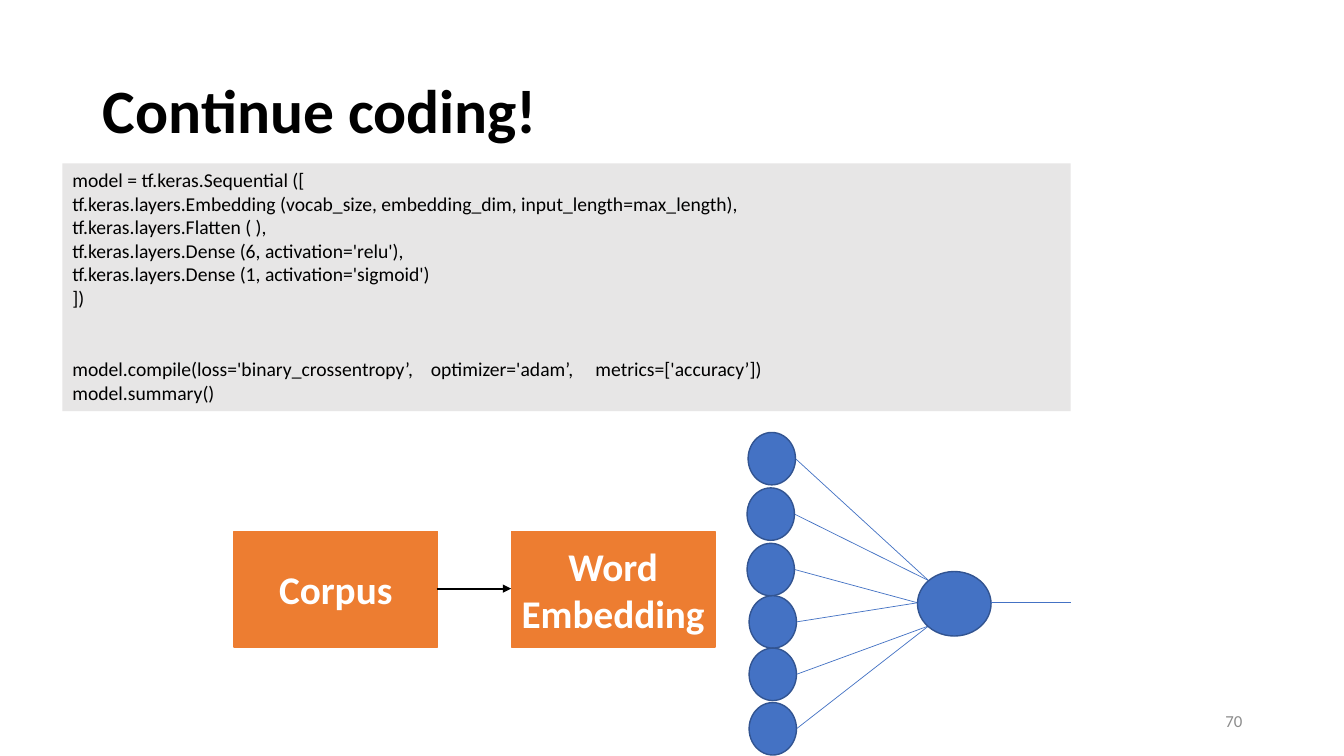
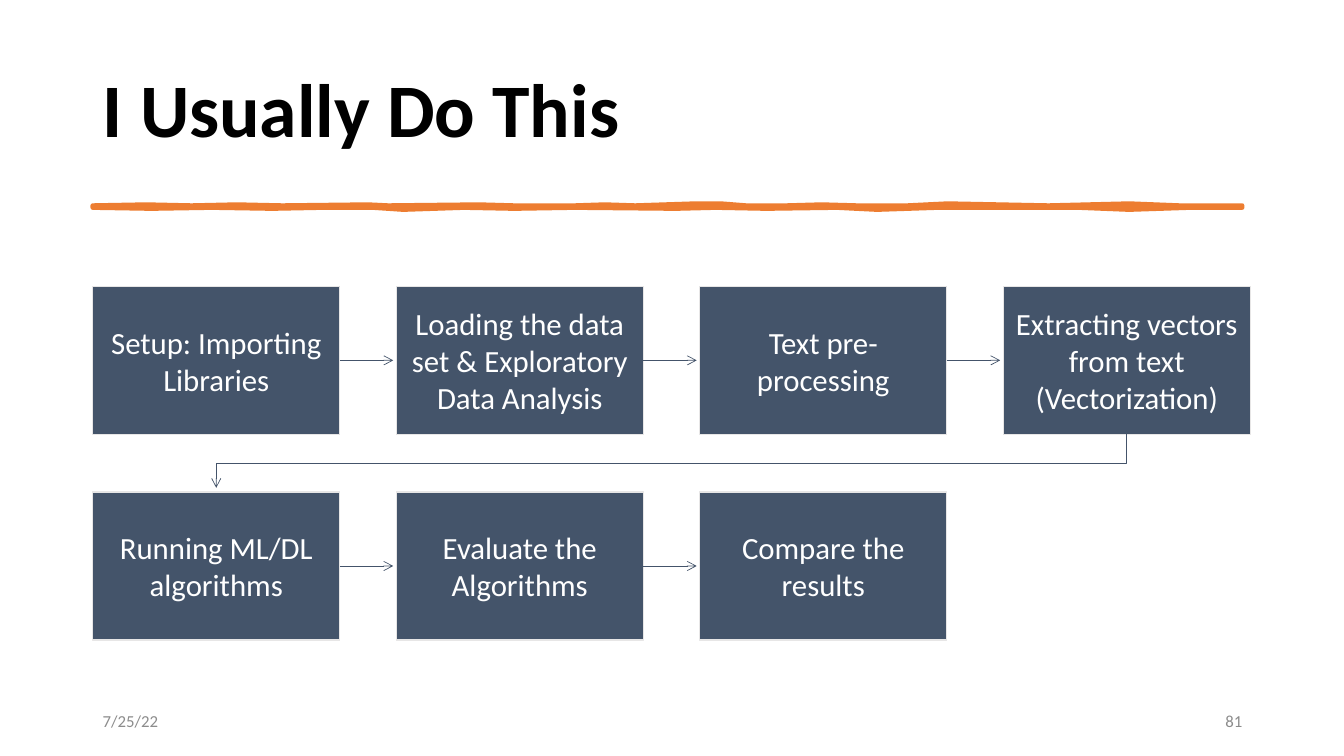
"""Build two slides: a small neural network in code, and a text workflow."""
from typing import NamedTuple

from pptx import Presentation
from pptx.dml.color import RGBColor
from pptx.enum import shapes as kinds, text as txt
from pptx.oxml import ns, xmlchemy as xml
from pptx.util import Inches, Pt

HUES = {
    "black": "000000", "white": "FFFFFF", "gray": "8C8C8C", "pale": "E7E6E6",
    "orange": "ED7D31", "blue": "4472C4", "navy": "325491", "slate": "44546A",
}
FONT = "Calibri"
RECT = kinds.MSO_SHAPE.RECTANGLE
OVAL = kinds.MSO_SHAPE.OVAL
LEFT, MID, RIGHT = txt.PP_ALIGN.LEFT, txt.PP_ALIGN.CENTER, txt.PP_ALIGN.RIGHT
MARGIN = 0.92


class Box(NamedTuple):
    left: float
    top: float
    width: float
    height: float

    def size(self) -> list:
        return [Inches(v) for v in self]


class Type(NamedTuple):
    size: float
    hue: str
    bold: bool = False
    align: int = LEFT


class Node(NamedTuple):
    left: float
    top: float
    end: tuple


HEAD = Box(MARGIN, 0.4, 11.5, 1.45)
DATE = Box(MARGIN, 6.95, 3, 0.4)
PAGE = Box(9.42, 6.95, 3, 0.4)

CODE = [
    "model = tf.keras.Sequential ([\v"
    "tf.keras.layers.Embedding (vocab_size, embedding_dim, input_length=max_length),\v"
    "tf.keras.layers.Flatten ( ),\v"
    "tf.keras.layers.Dense (6, activation='relu'),\v"
    "tf.keras.layers.Dense (1, activation='sigmoid')\v"
    "])",
    "model.compile(loss='binary_crossentropy’,    optimizer='adam’,     metrics=['accuracy’])",
    "model.summary()",
]
UPPER, FRONT, LOWER = (9.21, 5.76), (9.1, 5.98), (9.21, 6.21)
NODES = [
    Node(7.42, 4.29, UPPER), Node(7.41, 4.84, UPPER), Node(7.41, 5.39, FRONT),
    Node(7.43, 5.91, FRONT), Node(7.43, 6.43, LOWER), Node(7.43, 6.97, LOWER),
]
STEPS = [
    ["Setup: Importing Libraries",
     "Loading the data set & Exploratory Data Analysis",
     "Text pre-processing",
     "Extracting vectors from text (Vectorization)"],
    ["Running ML/DL algorithms", "Evaluate the Algorithms", "Compare the results"],
]
STROKE = [
    (0.92, 2.04), (1.45, 2.03), (1.9, 2.04), (2.35, 2.03), (2.8, 2.04),
    (3.65, 2.03), (3.85, 2.04), (4.75, 2.03), (5.1, 2.04), (5.7, 2.04),
    (6, 2.03), (6.3, 2.04), (6.9, 2.02), (7.15, 2.02), (7.4, 2.04),
    (7.8, 2.04), (8.15, 2.03), (8.5, 2.04), (9, 2.04), (9.4, 2.02),
    (9.9, 2.03), (10.4, 2.04), (11.2, 2.02), (11.7, 2.04), (12.32, 2.04),
    (12.32, 2.06), (11.8, 2.06), (11.2, 2.08), (10.7, 2.06), (9.9, 2.06),
    (9.3, 2.06), (8.7, 2.08), (8.3, 2.06), (7.6, 2.07), (7.1, 2.06),
    (6.7, 2.07), (5.7, 2.06), (5.1, 2.07), (4.6, 2.06), (4, 2.08),
    (3.7, 2.06), (3.2, 2.06), (2.7, 2.07), (2.1, 2.06), (1.5, 2.07),
    (0.92, 2.06),
]


def tint(hue: str) -> RGBColor:
    return RGBColor.from_string(HUES[hue])


def write(frame, lines: list, style: Type, anchor=txt.MSO_ANCHOR.MIDDLE) -> None:
    frame.word_wrap = True
    frame.vertical_anchor = anchor
    frame.text = "\n".join(lines)
    for para in frame.paragraphs:
        para.alignment = style.align
        for run in para.runs:
            run.font.name = FONT
            run.font.size = Pt(style.size)
            run.font.bold = style.bold
            run.font.color.rgb = tint(style.hue)


def ink(shape, hue: str, width: float, tip: str = "") -> None:
    shape.line.color.rgb = tint(hue)
    shape.line.width = Pt(width)
    if tip:
        line = shape.element.spPr.find(ns.qn("a:ln"))
        line.append(xml.OxmlElement("a:tailEnd"))
        line[-1].set("type", tip)


def block(slide, kind: int, box: Box, fill: str, edge: str = ""):
    shape = slide.shapes.add_shape(kind, *box.size())
    shape.shadow.inherit = False
    shape.fill.solid()
    shape.fill.fore_color.rgb = tint(fill)
    if edge:
        ink(shape, edge, 1)
    else:
        shape.line.fill.background()
    return shape


def link(slide, start: tuple, end: tuple, hue: str, width: float = 0.5, tip: str = "") -> None:
    ends = [Inches(v) for v in (*start, *end)]
    line = slide.shapes.add_connector(kinds.MSO_CONNECTOR.STRAIGHT, *ends)
    ink(line, hue, width, tip)
    line.element.spPr.append(xml.OxmlElement("a:effectLst"))


def trace(slide, points: list, close: bool):
    dots = [(Inches(x), Inches(y)) for x, y in points]
    pen = slide.shapes.build_freeform(*dots[0])
    pen.add_line_segments(dots[1:], close=close)
    shape = pen.convert_to_shape()
    shape.shadow.inherit = False
    return shape


def note(slide, box: Box, words: str, align: int) -> None:
    frame = slide.shapes.add_textbox(*box.size()).text_frame
    write(frame, [words], Type(12, "gray", align=align))


def start(deck, title: str, size: float, page: str):
    slide = deck.slides.add_slide(deck.slide_layouts[5])
    head = slide.shapes.title
    head.left, head.top, head.width, head.height = HEAD.size()
    write(head.text_frame, [title], Type(size, "black", True))
    head.text_frame.auto_size = txt.MSO_AUTO_SIZE.NONE
    head.text_frame.paragraphs[0].line_spacing = 0.9
    note(slide, PAGE, page, RIGHT)
    return slide


def coding(deck) -> None:
    slide = start(deck, "Continue coding!", 44, "70")
    panel = block(slide, RECT, Box(0.62, 1.62, 10, 2.46), "pale")
    write(panel.text_frame, CODE, Type(14, "black"), txt.MSO_ANCHOR.TOP)
    panel.text_frame.paragraphs[1].space_before = Pt(34)

    for left, words in ((2.32, "Corpus"), (5.07, "Word Embedding")):
        card = block(slide, RECT, Box(left, 5.27, 2.02, 1.15), "orange", "orange")
        write(card.text_frame, [words], Type(28, "white", True, MID))
    link(slide, (4.33, 5.84), (5.07, 5.84), "black", 1.5, "triangle")

    wide, high = 0.47, 0.52
    for node in NODES:
        link(slide, (node.left + wide, node.top + high / 2), node.end, "blue")
        block(slide, OVAL, Box(node.left, node.top, wide, high), "blue", "navy")
    block(slide, OVAL, Box(9.1, 5.67, 0.73, 0.64), "blue", "navy")
    link(slide, (9.83, 5.98), (10.62, 5.98), "blue")


def flow(deck) -> None:
    slide = start(deck, "I Usually Do This", 54, "81")
    note(slide, DATE, "7/25/22", LEFT)
    rule = trace(slide, STROKE, True)
    rule.fill.solid()
    rule.fill.fore_color.rgb = tint("orange")
    ink(rule, "orange", 3.25)

    wide, high, top = 2.45, 1.47, 2.84
    across, down, reach = 3.01, 2.04, 0.53
    for row, names in enumerate(STEPS):
        for col, words in enumerate(names):
            box = Box(MARGIN + col * across, top + row * down, wide, high)
            card = block(slide, RECT, box, "slate", "pale")
            frame = card.text_frame
            frame.margin_left = frame.margin_right = Inches(0.12)
            frame.margin_top = frame.margin_bottom = Inches(0.13)
            write(frame, [words], Type(22, "white", align=MID))
            if col < len(names) - 1:
                side, mid = box.left + wide, box.top + high / 2
                link(slide, (side, mid), (side + reach, mid), "slate", tip="arrow")

    first = MARGIN + wide / 2
    last = first + 3 * across
    base = top + high
    turn = base + (down - high) / 2
    bend = trace(slide, [(last, base), (last, turn), (first, turn), (first, base + reach)], False)
    bend.fill.background()
    ink(bend, "slate", 0.5, "arrow")


def main() -> None:
    deck = Presentation()
    deck.slide_width, deck.slide_height = Inches(13.33), Inches(7.5)
    coding(deck)
    flow(deck)
    deck.save("out.pptx")


if __name__ == "__main__":
    main()
